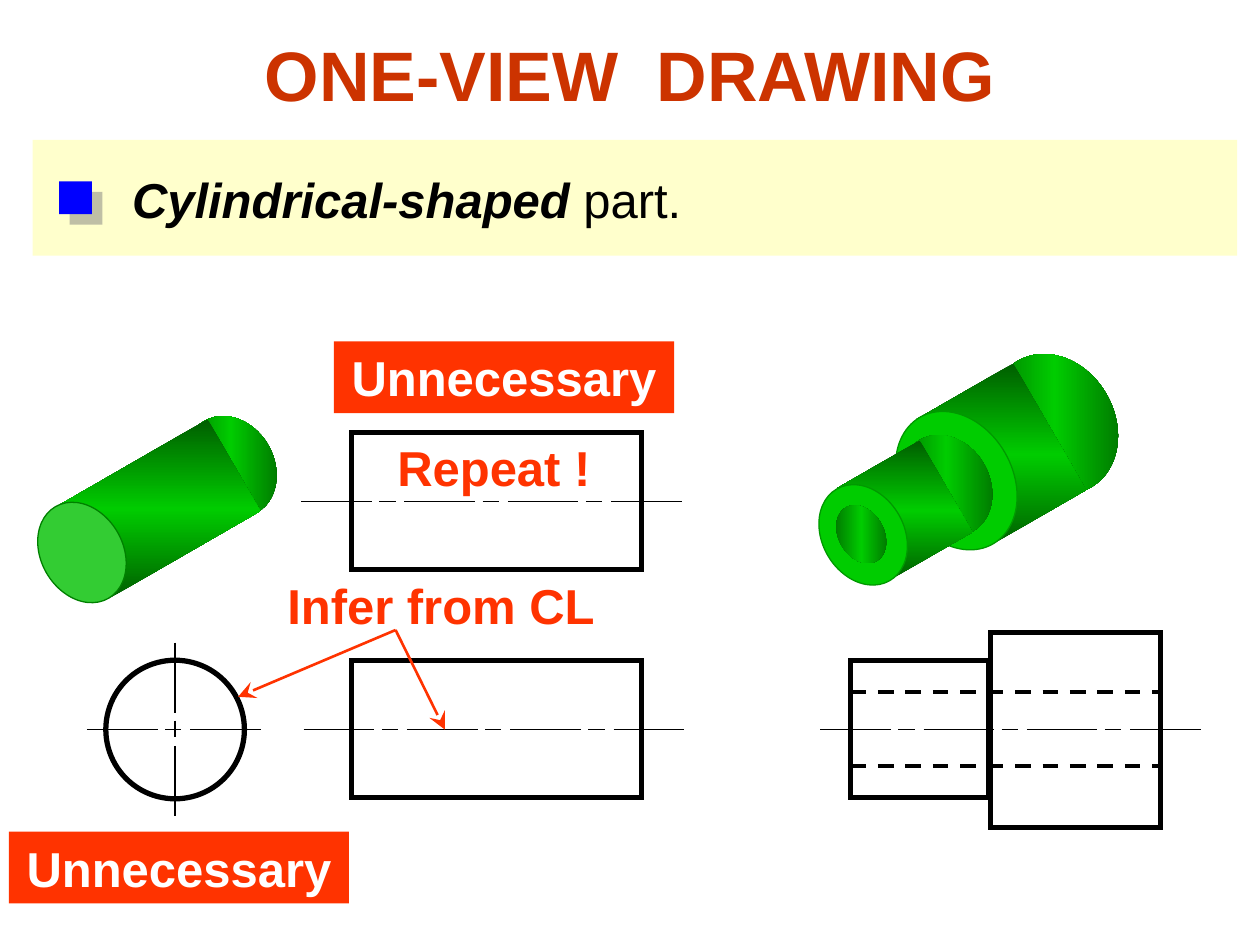
from copy import deepcopy

from lxml.etree import SubElement
from pptx import Presentation
from pptx.dml.color import RGBColor
from pptx.enum.dml import MSO_LINE_DASH_STYLE as DASH
from pptx.enum.shapes import MSO_CONNECTOR_TYPE as CONN, MSO_SHAPE as SHAPE
from pptx.enum.text import MSO_ANCHOR as ANCHOR, MSO_AUTO_SIZE as AUTO, PP_ALIGN as ALIGN
from pptx.oxml.ns import qn
from pptx.util import Inches, Pt

BLACK = RGBColor(0x00, 0x00, 0x00)
WHITE = RGBColor(0xFF, 0xFF, 0xFF)
CREAM = RGBColor(0xFF, 0xFF, 0xCC)
BLUE = RGBColor(0x00, 0x00, 0xFF)
RUST = RGBColor(0xCC, 0x33, 0x00)
RED = RGBColor(0xFF, 0x33, 0x00)
DARK_GREEN = RGBColor(0x00, 0x5E, 0x00)
GREEN = RGBColor(0x00, 0xCC, 0x00)
LIGHT_GREEN = RGBColor(0x33, 0xCC, 0x33)
EDGE_GREEN = RGBColor(0x00, 0x80, 0x00)
RIM_GREEN = RGBColor(0x00, 0x99, 0x00)
SHADING = (DARK_GREEN, GREEN, DARK_GREEN)

COLS, ROWS = 10, 7.5
LONG, SHORT, GAP, STEP = 0.56, 0.13, 0.06, 0.82  # centre line pattern
AXIS = 5.79  # row of the lower views' centre line


def add_run(p, text, size=28, color=BLACK, bold=False, italic=False):
    r = p.add_run()
    r.text = text
    font = r.font
    font.name, font.size, font.bold, font.italic = "Arial", Pt(size), bold, italic
    font.color.rgb = color


class Drawing:
    def __init__(self, prs):
        self.prs = prs
        self.slide = prs.slides.add_slide(prs.slide_layouts[5])
        self.shapes = self.slide.shapes

    def x(self, cols):
        return round(self.prs.slide_width * cols / COLS)

    def y(self, rows):
        return round(self.prs.slide_height * rows / ROWS)

    def box(self, left, top, width, height):
        return self.x(left), self.y(top), self.x(width), self.y(height)

    def frame(self, sp, inset=0.0, align=ALIGN.CENTER, wrap=True):
        tf = sp.text_frame
        tf.word_wrap, tf.auto_size = wrap, AUTO.NONE
        tf.vertical_anchor = ANCHOR.MIDDLE
        tf.margin_left = tf.margin_right = Inches(inset)
        tf.margin_top = tf.margin_bottom = Inches(0.05)
        p = tf.paragraphs[0]
        p.alignment = align
        return p

    def title(self, text, *at):
        sp = self.shapes.title
        sp.left, sp.top, sp.width, sp.height = self.box(*at)
        add_run(self.frame(sp, 0.1), text, size=40, color=RUST, bold=True)

    def text(self, *at, **frame):
        return self.frame(self.shapes.add_textbox(*self.box(*at)), **frame)

    def shape(self, kind, at, fill=None, line=None, weight=3, rotation=0):
        sp = self.shapes.add_shape(kind, *self.box(*at))
        sp.shadow.inherit = False
        sp.rotation = rotation
        if fill is None:
            sp.fill.background()
        elif fill is SHADING:
            self.shade(sp)
        else:
            sp.fill.solid()
            sp.fill.fore_color.rgb = fill
        if line is None:
            sp.line.fill.background()
        else:
            sp.line.color.rgb, sp.line.width = line, Pt(weight)
            SubElement(sp.line._get_or_add_ln(), qn("a:miter"), lim="800000")
        return sp

    def shade(self, sp):
        sp.fill.gradient()
        sp.fill.gradient_angle = 240
        stops = sp._element.spPr.find(".//" + qn("a:gsLst"))
        stops.append(deepcopy(stops[0]))
        for i, (stop, color) in enumerate(zip(sp.fill.gradient_stops, SHADING)):
            stop.position, stop.color.rgb = i / 2, color

    def drop_shadow(self, sp):
        effects = sp._element.spPr.find(qn("a:effectLst"))
        shadow = SubElement(effects, qn("a:outerShdw"), blurRad="0", dist=str(Pt(8.5)),
                            dir="2700000", algn="ctr", rotWithShape="0")
        color = SubElement(shadow, qn("a:srgbClr"), val="808080")
        SubElement(color, qn("a:alpha"), val="50000")

    def line(self, x1, y1, x2, y2, color=BLACK, weight=1.0, dash=None, arrow=False):
        cx = self.shapes.add_connector(CONN.STRAIGHT, self.x(x1), self.y(y1),
                                       self.x(x2), self.y(y2))
        cx.line.color.rgb, cx.line.width = color, Pt(weight)
        if dash:
            cx.line.dash_style = dash
        if arrow:
            SubElement(cx.line._get_or_add_ln(), qn("a:tailEnd"), type="stealth",
                       w="lg", len="lg")
        SubElement(cx._element.spPr, qn("a:effectLst"))

    def centre_line(self, x, y, longs, vertical=False):
        for i in range(longs):
            dashes = [(i * STEP, LONG)]
            if i < longs - 1:
                dashes.append((i * STEP + LONG + GAP, SHORT))
            for start, length in dashes:
                if vertical:
                    self.line(x, y + start, x, y + start + length)
                else:
                    self.line(x + start, y, x + start + length, y)

    def solid(self, *parts):
        for kind, at, fill, line in parts:
            rotation = 60 if kind == SHAPE.OVAL else 330
            self.shape(kind, at, fill, line, 0.75, rotation)

    def label(self, text, *at, fill=None, color=RED):
        if fill is None:
            p = self.text(*at)
        else:
            p = self.frame(self.shape(SHAPE.RECTANGLE, at, fill))
        add_run(p, text, color=color, bold=True)


def main():
    prs = Presentation()
    prs.slide_width, prs.slide_height = Inches(10), Inches(7.5)
    d = Drawing(prs)
    oval, rect = SHAPE.OVAL, SHAPE.RECTANGLE

    # Heading and statement
    d.title("ONE-VIEW  DRAWING", 0, 0.2, 10, 0.77)
    d.shape(rect, (0.26, 1.11, 9.56, 0.92), CREAM)
    p = d.text(0.95, 1.29, 4.56, 0.57, inset=0.1, align=ALIGN.LEFT, wrap=False)
    add_run(p, "Cylindrical-shaped", bold=True, italic=True)
    add_run(p, " part.")
    d.drop_shadow(d.shape(rect, (0.47, 1.44, 0.26, 0.26), BLUE))

    # Plain cylinder
    d.solid((oval, (1.41, 3.36, 0.84, 0.69), SHADING, None),
            (rect, (0.56, 3.62, 1.39, 0.84), SHADING, None),
            (oval, (0.23, 4.06, 0.84, 0.65), LIGHT_GREEN, EDGE_GREEN))

    # Stepped cylinder with a hole
    d.solid((oval, (7.79, 2.89, 1.16, 0.95), SHADING, None),
            (rect, (7.5, 3.03, 0.89, 1.16), SHADING, None),
            (oval, (7.01, 3.37, 1.16, 0.89), GREEN, RIM_GREEN),
            (oval, (7.09, 3.51, 0.84, 0.69), SHADING, None),
            (rect, (6.8, 3.63, 0.76, 0.84), SHADING, None),
            (oval, (6.43, 3.92, 0.84, 0.65), GREEN, RIM_GREEN),
            (oval, (6.59, 4.06, 0.49, 0.36), SHADING, None))

    # Views of the plain cylinder: top, front, side
    for top, start, axis in ((3.43, 2.39, 3.98), (5.24, 2.41, AXIS)):
        d.shape(rect, (2.79, top, 2.3, 1.09), line=BLACK)
        d.centre_line(start, axis, 4)
    d.shape(oval, (0.84, 5.24, 1.1, 1.1), line=BLACK)
    d.centre_line(0.69, AXIS, 2)
    d.centre_line(1.39, 5.1, 2, vertical=True)

    # View of the stepped cylinder
    d.shape(rect, (6.75, 5.24, 1.1, 1.09), line=BLACK)
    d.shape(rect, (7.86, 5.02, 1.35, 1.55), line=BLACK)
    d.centre_line(6.51, AXIS, 4)
    for y in (5.49, 6.08):
        d.line(6.75, y, 9.21, y, weight=2.25, dash=DASH.DASH)

    # Remarks and arrows
    for left, top in ((2.65, 2.71), (0.07, 6.6)):
        d.label("Unnecessary", left, top, 2.7, 0.57, fill=RED, color=WHITE)
    d.label("Repeat !", 3.04, 3.42, 1.76, 0.57)
    d.label("Infer from CL", 2.05, 4.52, 2.9, 0.57)
    for x, y in ((3.53, AXIS), (1.89, 5.53)):
        d.line(3.14, 5, x, y, color=RED, weight=1.5, arrow=True)

    prs.save("out.pptx")


if __name__ == "__main__":
    main()
